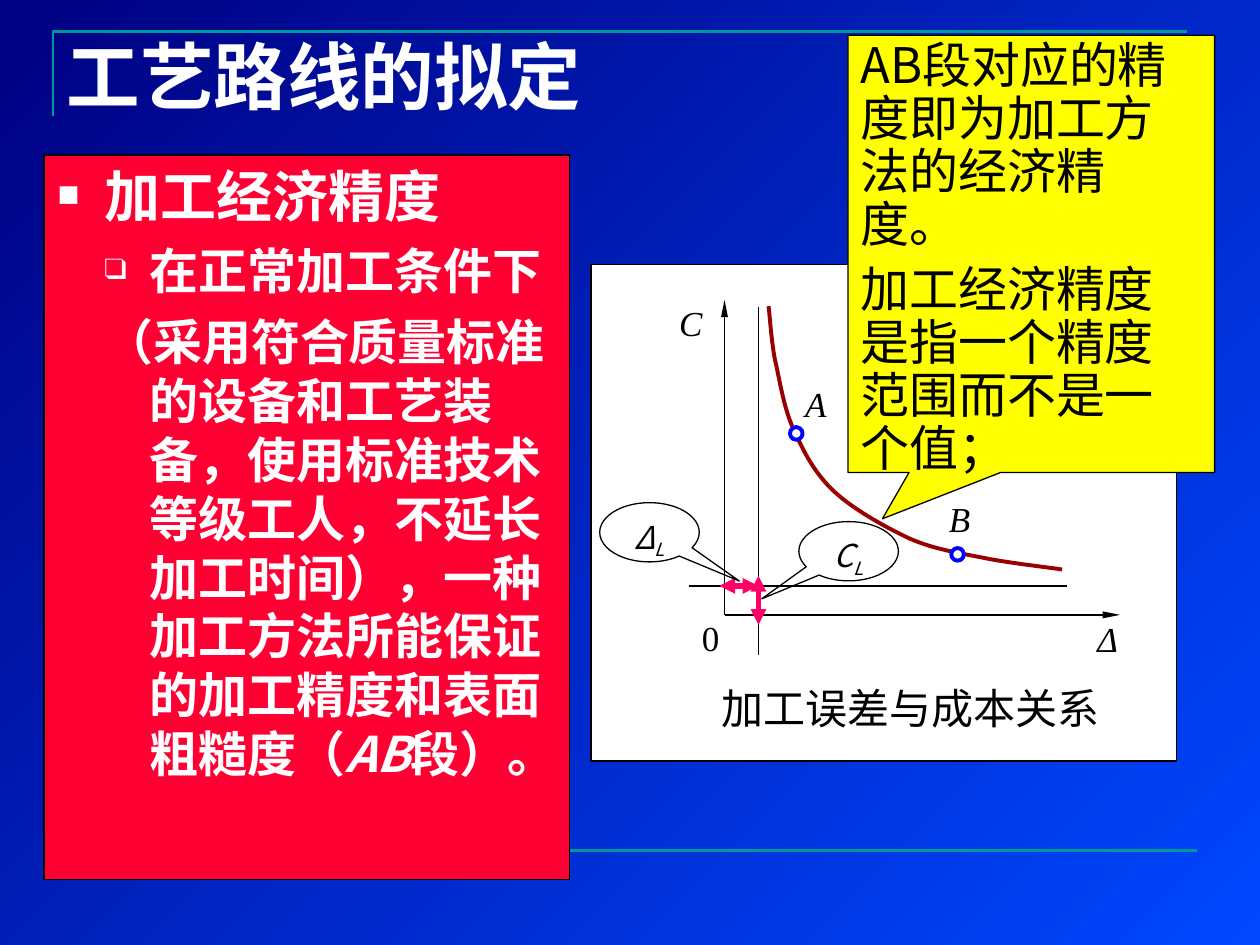
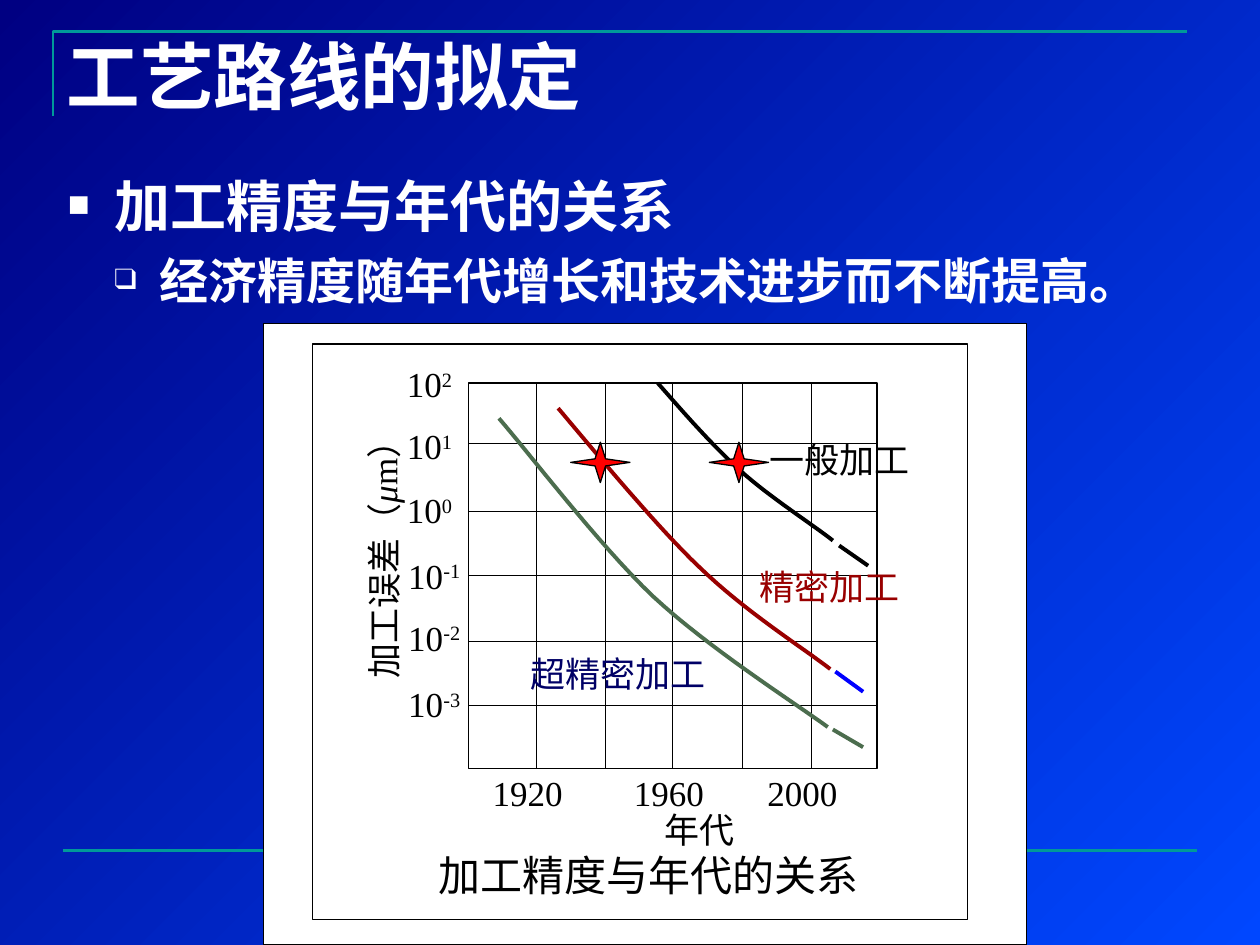
from lxml import etree
from pptx import Presentation
from pptx.dml.color import RGBColor as Rgb
from pptx.enum.shapes import MSO_CONNECTOR as Link, MSO_SHAPE as Kind
from pptx.enum.text import MSO_ANCHOR as Anchor, PP_ALIGN as Align
from pptx.oxml.ns import qn
from pptx.util import Inches, Pt

NAVY, BLUE = Rgb(0, 0, 0x82), Rgb(0, 0x47, 0xFF)
TEAL, WHITE, BLACK = Rgb(0, 0x99, 0x99), Rgb(255, 255, 255), Rgb(0, 0, 0)
RED, PINK, GOLD = Rgb(0xFF, 0, 0x33), Rgb(0xFF, 0, 0x66), Rgb(255, 255, 0)
WINE, MOSS, INK = Rgb(0x99, 0, 0), Rgb(0x4C, 0x6D, 0x4E), Rgb(0, 0, 0x66)
STAR, RING = Rgb(255, 0, 0), Rgb(0, 0, 255)

SANS, SERIF = "Noto Sans CJK SC", "Times New Roman"
HEAD = {"size": Pt(42), "name": SANS, "bold": True, "color": WHITE}
MAIN = HEAD | {"size": Pt(32)}
SUB = HEAD | {"size": Pt(28)}
NOTE = {"size": Pt(28), "name": SANS, "color": BLACK}
MARK = {"size": Pt(18), "name": SANS, "color": BLACK, "italic": True}
TICK = {"size": Pt(20), "name": SERIF, "color": BLACK}
SIGN = TICK | {"italic": True}
NAME = TICK | {"size": Pt(24)}

TOP = {"left": 0.38, "hang": 0.37, "bullet": ("■", 65)}
LOW = {"left": 0.74, "hang": 0.36, "bullet": ("❑", 60), "space_before": Pt(7)}
REST = LOW | {"bullet": None}
TITLE = "工艺路线的拟定"

COST = {
    "body": [
        ([("加工经济精度", MAIN)], TOP),
        ([("在正常加工条件下", SUB)], LOW),
        ([("（采用符合质量标准的设备和工艺装备，使用标准技术等级工人，"
           "不延长加工时间），一种加工方法所能保证的加工精度和表面粗糙度（", SUB),
          ("AB", SUB | {"italic": True}), ("段）。", SUB)], REST)],
    "curve": [(6.1, 2.43), (6.11, 2.5), (6.12, 2.69), (6.15, 2.85),
              (6.19, 3.02), (6.22, 3.24), (6.3, 3.41), (6.38, 3.59),
              (6.47, 3.76), (6.62, 3.9), (6.77, 4.04), (7.02, 4.18),
              (7.21, 4.27), (7.41, 4.36), (7.62, 4.39), (7.82, 4.43),
              (8.02, 4.47), (8.3, 4.5), (8.43, 4.52)],
    "signs": [("C", 5.39, 2.38, SIGN), ("Δ", 8.71, 4.89, SIGN), ("0", 5.57, 4.88, TICK),
              ("A", 6.39, 3.03, SIGN), ("B", 7.53, 3.94, SIGN)],
    "dots": [(6.27, 3.39), (7.55, 4.35)],
    "axes": [(5.75, 2.38), (8.89, 4.88)],
    "limits": [(6.02, 2.44, 6.02, 5.2), (5.47, 4.65, 8.47, 4.65)],
    "spans": [(6.02, 4.57, 6.02, 4.96), (5.71, 4.65, 6.02, 4.65)],
    "bubbles": [("Δ", 4.76, 3.99, (0.902, 0.822)), ("C", 6.34, 4.14, (-0.873, 0.804))],
    "notes": ["AB段对应的精度即为加工方法的经济精度。",
              "加工经济精度是指一个精度范围而不是一个值；"],
}
YEARS = {
    "body": [([("加工精度与年代的关系", MAIN)], TOP),
             ([("经济精度随年代增长和技术进步而不断提高。", SUB)], LOW)],
    "plot": (3.72, 3.04, 3.24, 3.06),
    "rows": [3.52, 4.06, 4.58, 5.09, 5.6],
    "powers": [("2", 2.88), ("1", 3.37), ("0", 3.88), ("-1", 4.4), ("-2", 4.89), ("-3", 5.42)],
    "dates": [("1920", 3.91), ("1960", 5.03), ("2000", 6.09)],
    "curves": [
        (MOSS, [(3.96, 3.32), (4.17, 3.56), (4.75, 4.32), (5.18, 4.73),
                (5.62, 5.14), (6.28, 5.56), (6.57, 5.77)]),
        (WINE, [(4.43, 3.24), (4.61, 3.45), (5.19, 4.16), (5.55, 4.5),
                (5.91, 4.85), (6.37, 5.14), (6.59, 5.31)]),
        (BLACK, [(5.22, 3.04), (5.44, 3.29), (5.64, 3.52), (5.87, 3.73),
                 (6.1, 3.94), (6.46, 4.17), (6.61, 4.29)])],
    "tails": [(BLACK, (6.66, 4.33, 6.89, 4.49)), (RING, (6.63, 5.33, 6.85, 5.49)),
              (MOSS, (6.61, 5.79, 6.85, 5.93))],
    "labels": [("年代", (5.27, 6.42, 1.11, 0.33), TICK, Align.LEFT),
               ("加工精度与年代的关系", (3, 6.74, 4.29, 0.4), NAME, Align.CENTER),
               ("一般加工", (6.05, 3.48, 1.23, 0.33), TICK, Align.CENTER),
               ("精密加工", (5.97, 4.49, 1.23, 0.33), TICK | {"color": WINE}, Align.CENTER),
               ("超精密加工", (3.97, 5.18, 1.63, 0.33), TICK | {"color": INK}, Align.RIGHT)],
    "stars": [4.53, 5.63],
}


def inch(nums):
    return [Inches(n) for n in nums]


def add(node, tag, **keys):
    kid = etree.SubElement(node, qn(tag))
    for key, val in keys.items():
        kid.set(key, val)
    return kid


def paint(shape, fill=None, line=None, width=0.75):
    shape.shadow.inherit = False
    if fill is None:
        shape.fill.background()
    else:
        shape.fill.solid()
        shape.fill.fore_color.rgb = fill
    shape.line.color.rgb = line
    shape.line.width = Pt(width)
    return shape


def draw(slide, kind, box, fill=None, line=BLACK, width=0.75):
    return paint(slide.shapes.add_shape(kind, *inch(box)), fill, line, width)


def join(slide, ends, color=BLACK, width=0.75, heads=(), size=("med", "med")):
    wire = slide.shapes.add_connector(Link.STRAIGHT, *inch(ends))
    wire.line.color.rgb = color
    wire.line.width = Pt(width)
    props = wire._element.spPr
    for tag in heads:
        add(props.find(qn("a:ln")), tag, type="triangle", w=size[0], len=size[1])
    add(props, "a:effectLst")
    return wire


def trace(slide, dots, color, width):
    spots = [inch(dot) for dot in dots]
    form = slide.shapes.build_freeform(*spots[0])
    form.add_line_segments(spots[1:], close=False)
    return paint(form.convert_to_shape(), None, color, width)


def bend(knots, steps=16):
    dots = [knots[0]]
    for at in range(0, len(knots) - 1, 3):
        part = knots[at:at + 4]
        for step in range(1, steps + 1):
            t = step / steps
            mix = ((1 - t) ** 3, 3 * t * (1 - t) ** 2, 3 * t * t * (1 - t), t ** 3)
            dots.append(tuple(sum(m * p[i] for m, p in zip(mix, part)) for i in (0, 1)))
    return dots


def style(run, form):
    for key, val in form.items():
        if key == "color":
            run.font.color.rgb = val
        elif key != "base":
            setattr(run.font, key, val)
    props = run._r.get_or_add_rPr()
    add(props, "a:ea", typeface=SANS)
    if "base" in form:
        props.set("baseline", str(form["base"] * 1000))


def shift(para, look):
    props = para._p.get_or_add_pPr()
    props.set("hangingPunct", "0")
    for key, val in look.items():
        if key == "left":
            props.set("marL", str(Inches(val)))
        elif key == "hang":
            props.set("indent", str(-Inches(val)))
        elif key != "bullet":
            setattr(para, key, val)
    if look.get("bullet"):
        char, size = look["bullet"]
        add(add(props, "a:buClr"), "a:srgbClr", val=str(WHITE))
        add(props, "a:buSzPct", val=str(size * 1000))
        add(props, "a:buFont", typeface=SERIF)
        add(props, "a:buChar", char=char)


def write(shape, paras, pad=(0.1, 0.05)):
    frame = shape.text_frame
    frame.word_wrap = True
    frame.vertical_anchor = Anchor.TOP
    frame.margin_left = frame.margin_right = Inches(pad[0])
    frame.margin_top = frame.margin_bottom = Inches(pad[1])
    for at, (runs, look) in enumerate(paras):
        para = frame.add_paragraph() if at else frame.paragraphs[0]
        shift(para, {"alignment": Align.LEFT} | look)
        for text, form in runs:
            run = para.add_run()
            run.text = text
            style(run, form)
    return shape


def label(slide, box, runs, align=Align.LEFT, pad=(0, 0)):
    area = slide.shapes.add_textbox(*inch(box))
    return write(area, [(runs, {"alignment": align})], pad)


def start(deck):
    slide = deck.slides.add_slide(deck.slide_layouts[6])
    fill = slide.background.fill
    fill.gradient()
    fill.gradient_angle = 315
    for stop, color in zip(fill.gradient_stops, (NAVY, BLUE)):
        stop.color.rgb = color
    trace(slide, [(0.42, 0.92), (0.42, 0.25), (9.42, 0.25)], TEAL, 1.5)
    join(slide, (0.5, 6.75, 9.5, 6.75), TEAL, 1.5)
    return slide


def title(slide):
    label(slide, (0.43, 0.2, 8.51, 0.8), [(TITLE, HEAD)], pad=(0.1, 0.05))


def cost(deck):
    slide = start(deck)
    draw(slide, Kind.RECTANGLE, (4.69, 2.1, 4.65, 3.94), WHITE)
    write(draw(slide, Kind.RECTANGLE, (0.35, 1.23, 4.17, 5.75), RED), COST["body"])
    title(slide)
    label(slide, (5.5, 5.41, 3.46, 0.38), [("加工误差与成本关系", NAME)], Align.CENTER, (0, 0.01))
    trace(slide, bend(COST["curve"]), WINE, 2.25)
    for end in COST["axes"]:
        join(slide, (5.75, 4.88, *end), heads=["a:tailEnd"], size=("sm", "lg"))
    for text, x, y, form in COST["signs"]:
        label(slide, (x, y, 0.35, 0.33), [(text, form)], pad=(0, 0.01))
    for x, y in COST["dots"]:
        draw(slide, Kind.OVAL, (x, y, 0.1, 0.1), WHITE, RING, 2.25)
    for ends in COST["limits"]:
        join(slide, ends)
    for ends in COST["spans"]:
        join(slide, ends, PINK, 3, ["a:headEnd", "a:tailEnd"])
    for text, x, y, tip in COST["bubbles"]:
        cloud = draw(slide, Kind.OVAL_CALLOUT, (x, y, 0.79, 0.47))
        cloud.adjustments[0], cloud.adjustments[1] = tip
        runs = [(text, MARK), ("L", MARK | {"base": -25})]
        write(cloud, [(runs, {"alignment": Align.CENTER})])
    note = draw(slide, Kind.RECTANGULAR_CALLOUT, (6.73, 0.28, 2.91, 3.47), GOLD)
    note.adjustments[0], note.adjustments[1] = -0.406, 0.606
    write(note, [([(text, NOTE)], {"line_spacing": 0.9, "space_before": Pt(7 if at else 0)})
                 for at, text in enumerate(COST["notes"])])


def grid(slide):
    x, y, w, h = YEARS["plot"]
    plot = draw(slide, Kind.RECTANGLE, YEARS["plot"])
    cols = [4.26 + 0.545 * at for at in range(5)]
    lines = [[(c, y, c, y + h) for c in cols], [(x, r, x + w, r) for r in YEARS["rows"]]]
    for group, sides in zip(lines, ((0, 2), (1, 3))):
        for at, ends in enumerate(group):
            wire = join(slide, ends)
            if at == 2:
                wire.begin_connect(plot, sides[0])
                wire.end_connect(plot, sides[1])


def years(deck):
    slide = start(deck)
    draw(slide, Kind.RECTANGLE, (2.09, 2.57, 6.06, 4.93), WHITE)
    write(slide.shapes.add_textbox(*inch((0.43, 1.31, 9, 4.95))), YEARS["body"])
    title(slide)
    draw(slide, Kind.RECTANGLE, (2.48, 2.73, 5.2, 4.57))
    side = label(slide, (1.85, 4.01, 2.4, 0.35),
                 [("加工误差（", TICK), ("μ", SIGN), ("m）", TICK)])
    side.rotation = 270
    grid(slide)
    for text, y in YEARS["powers"]:
        label(slide, (3.24 if "-" in text else 3.23, y, 0.56, 0.41),
              [("10", TICK), (text, TICK | {"base": 30})])
    for text, x in YEARS["dates"]:
        label(slide, (x, 6.12, 0.71, 0.41), [(text, TICK)])
    for color, knots in YEARS["curves"]:
        trace(slide, bend(knots), color, 2.25)
    for color, ends in YEARS["tails"]:
        join(slide, ends, color, 2.25)
    for text, box, form, align in YEARS["labels"]:
        label(slide, box, [(text, form)], align)
    for x in YEARS["stars"]:
        star = draw(slide, Kind.STAR_4_POINT, (x, 3.51, 0.47, 0.32), STAR)
        star.adjustments[0] = 0.125


def main():
    deck = Presentation()
    deck.slide_width, deck.slide_height = inch((10, 7.5))
    cost(deck)
    years(deck)
    deck.save("out.pptx")


if __name__ == "__main__":
    main()
